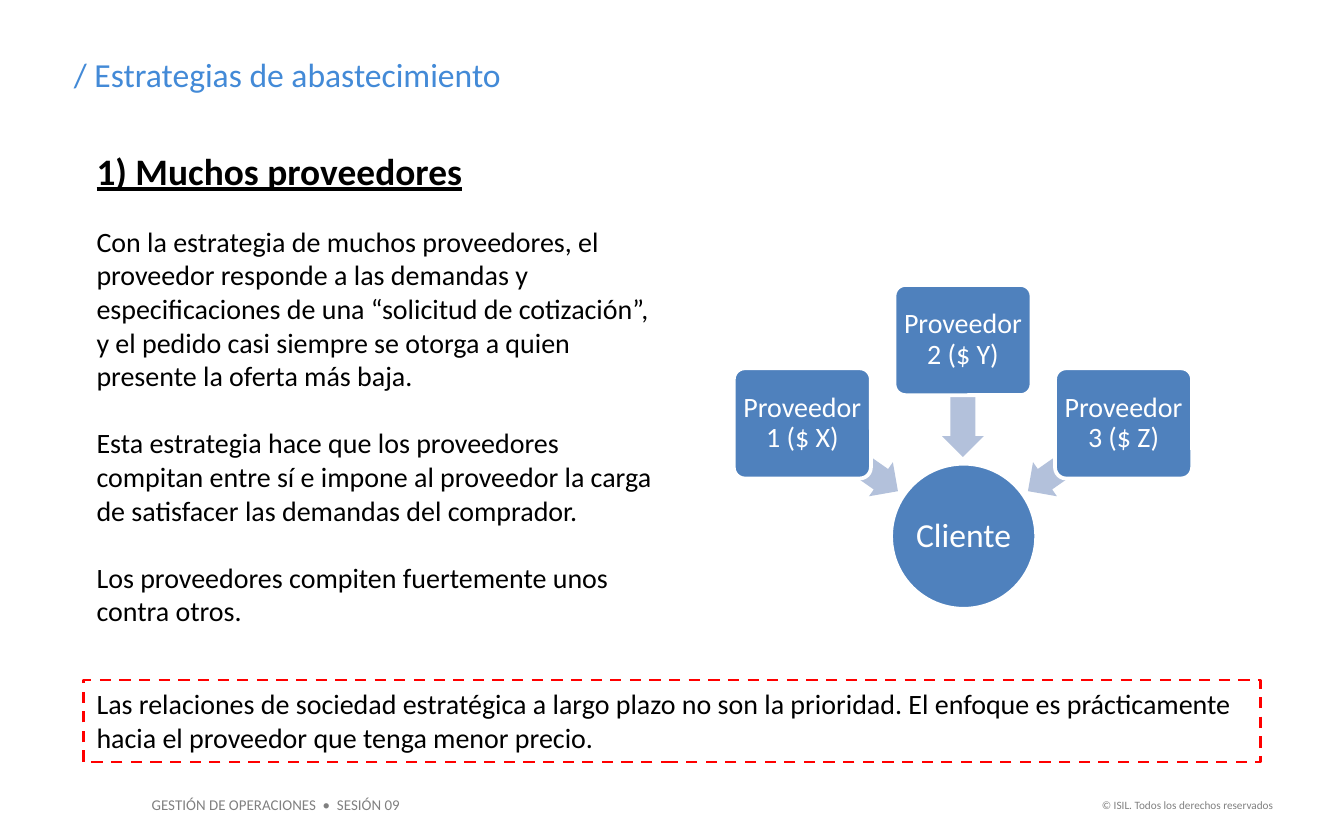
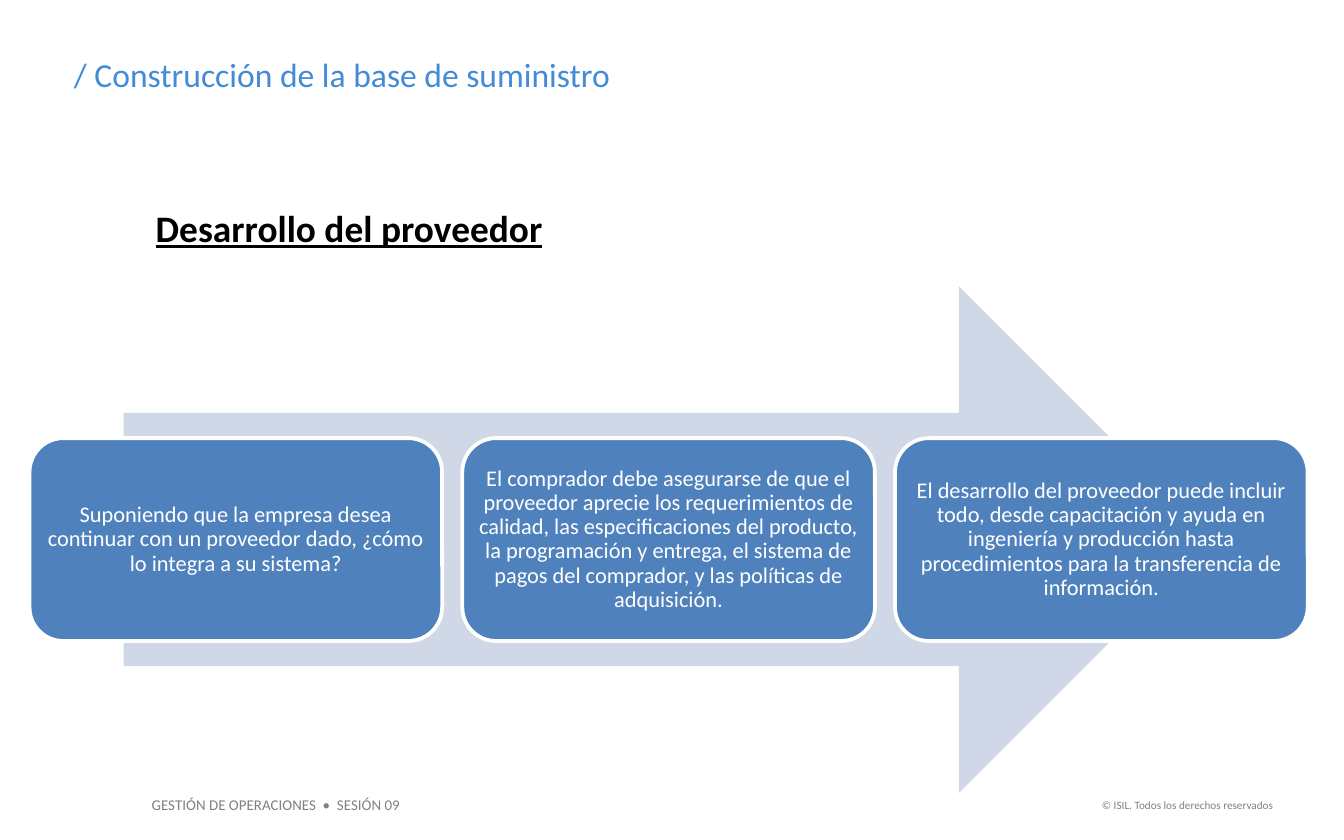
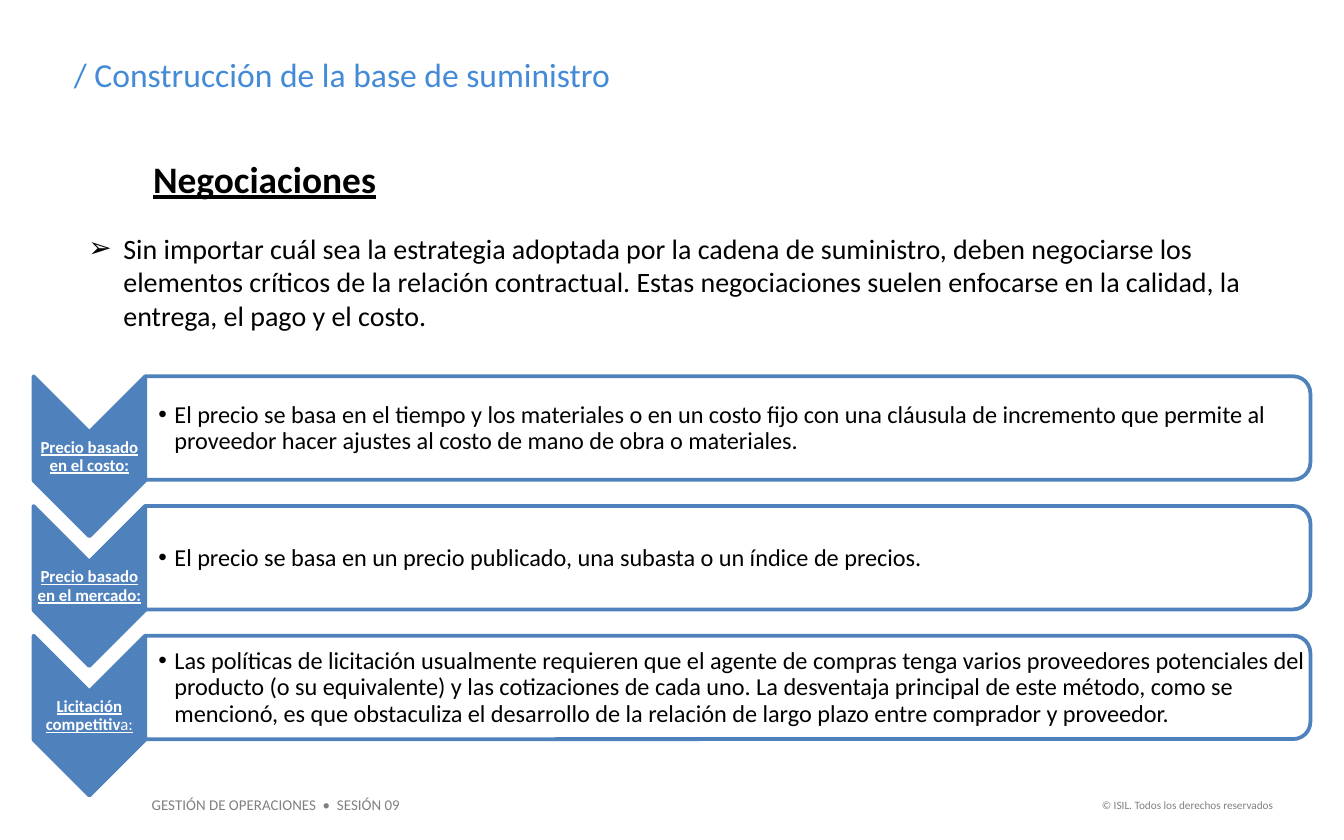
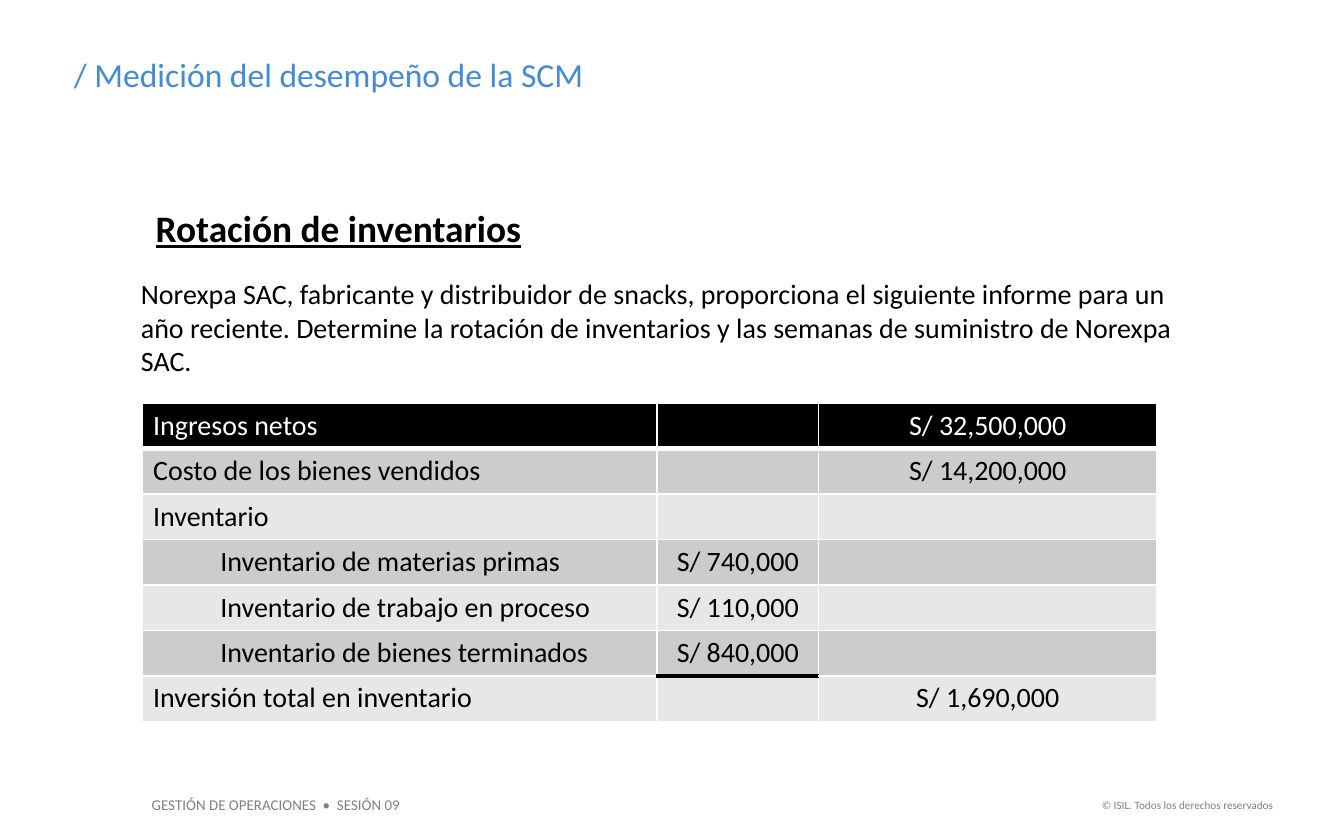
"""Build four slides on supply strategy and inventory turnover."""
from lxml import etree
from pptx import Presentation
from pptx import util as u
from pptx.dml.color import RGBColor
from pptx.enum import dml, shapes, text
from pptx.oxml.ns import qn

HUES = {
    "title": "438AD7", "ink": "000000", "white": "FFFFFF", "foot": "808080",
    "blue": "4F81BD", "arrow": "B3C1DB", "band": "D0D8E8", "alert": "FF0000",
    "dark": "CCCCCC", "light": "E7E7E7",
}
FACE = "Calibri"
KIND = shapes.MSO_SHAPE
LEFT, MID, RIGHT = text.PP_ALIGN.LEFT, text.PP_ALIGN.CENTER, text.PP_ALIGN.RIGHT
FOOTS = [
    ("GESTIÓN DE OPERACIONES  •  SESIÓN 09", (1.03, 5.87, 2.05, 0.24), 8, LEFT),
    ("© ISIL. Todos los derechos reservados", (8.03, 5.89, 1.54, 0.2), 6, RIGHT),
]
BODY = [
    "Con la estrategia de muchos proveedores, el proveedor responde a las demandas y "
    "especificaciones de una “solicitud de cotización”, y el pedido casi siempre se "
    "otorga a quien presente la oferta más baja.",
    "Esta estrategia hace que los proveedores compitan entre sí e impone al proveedor "
    "la carga de satisfacer las demandas del comprador.",
    "Los proveedores compiten fuertemente unos contra otros.",
]
NOTE = (
    "Las relaciones de sociedad estratégica a largo plazo no son la prioridad. "
    "El enfoque es prácticamente hacia el proveedor que tenga menor precio."
)
STEPS = [
    "Suponiendo que la empresa desea continuar con un proveedor dado, ¿cómo lo integra "
    "a su sistema?",
    "El comprador debe asegurarse de que el proveedor aprecie los requerimientos de "
    "calidad, las especificaciones del producto, la programación y entrega, el sistema "
    "de pagos del comprador, y las políticas de adquisición.",
    "El desarrollo del proveedor puede incluir todo, desde capacitación y ayuda en "
    "ingeniería y producción hasta procedimientos para la transferencia de información.",
]
TALKS = (
    "Sin importar cuál sea la estrategia adoptada por la cadena de suministro, deben "
    "negociarse los elementos críticos de la relación contractual. Estas negociaciones "
    "suelen enfocarse en la calidad, la entrega, el pago y el costo."
)
PRICES = [
    ("Precio basado en el costo:", "",
     "El precio se basa en el tiempo y los materiales o en un costo fijo con una "
     "cláusula de incremento que permite al proveedor hacer ajustes al costo de mano "
     "de obra o materiales."),
    ("Precio basado en el mercado:", "",
     "El precio se basa en un precio publicado, una subasta o un índice de precios."),
    ("Licitación competitiv", "a:",
     "Las políticas de licitación usualmente requieren que el agente de compras tenga "
     "varios proveedores potenciales del producto (o su equivalente) y las cotizaciones "
     "de cada uno. La desventaja principal de este método, como se mencionó, es que "
     "obstaculiza el desarrollo de la relación de largo plazo entre comprador y "
     "proveedor."),
]
CASE = (
    "Norexpa SAC, fabricante y distribuidor de snacks, proporciona el siguiente informe "
    "para un año reciente. Determine la rotación de inventarios y las semanas de "
    "suministro de Norexpa SAC."
)
COSTS = [
    ("Ingresos netos", "", "S/ 32,500,000"),
    ("Costo de los bienes vendidos", "", "S/ 14,200,000"),
    ("Inventario", "", ""),
    ("Inventario de materias primas", "S/ 740,000", ""),
    ("Inventario de trabajo en proceso", "S/ 110,000", ""),
    ("Inventario de bienes terminados", "S/ 840,000", ""),
    ("Inversión total en inventario", "", "S/ 1,690,000"),
]


def hue(name):
    """Return a named colour."""
    return RGBColor.from_string(HUES[name])


def place(box):
    """Turn left, top, width and height into lengths."""
    return [u.Inches(v) for v in box]


def style(para, size, ink="ink", align=LEFT, bold=False):
    """Set the look of a paragraph; bold text is underlined too."""
    para.alignment = align
    font = para.font
    font.name, font.size = FACE, u.Pt(size)
    font.color.rgb = hue(ink)
    font.bold = font.underline = bold


def indent(para, left, first=0, mark=None):
    """Indent a paragraph and give it a bullet."""
    props = para._p.get_or_add_pPr()
    props.set("marL", str(u.Inches(left)))
    props.set("indent", str(u.Inches(first)))
    if mark:
        etree.SubElement(props, qn("a:buFont"), typeface="Arial")
        etree.SubElement(props, qn("a:buChar"), char=mark)


def write(shape, lines, size, ink="ink", align=LEFT, bold=False, pad=None,
          gap=0, mark=None, hang=0):
    """Fill a shape with text; a pad makes it tight and centred in height."""
    frame = shape.text_frame
    frame.word_wrap = True
    if pad is None:
        frame.vertical_anchor = text.MSO_ANCHOR.TOP
        frame.auto_size = text.MSO_AUTO_SIZE.SHAPE_TO_FIT_TEXT
    else:
        frame.vertical_anchor = text.MSO_ANCHOR.MIDDLE
        (frame.margin_left, frame.margin_top,
         frame.margin_right, frame.margin_bottom) = place(pad)
    for i, line in enumerate(lines):
        para = frame.paragraphs[0] if i == 0 else frame.add_paragraph()
        para.text = line
        if mark:
            indent(para, hang, -hang, mark)
        if i:
            para.space_before = u.Pt(gap)
        if pad is not None:
            para.line_spacing = 0.9
        style(para, size, ink, align, bold)
    return frame


def label(slide, box, lines, size, **look):
    """Add a text box."""
    return write(slide.shapes.add_textbox(*place(box)), lines, size, **look)


def draw(slide, kind, box, fill=None, line=None, width=2, turn=0, adj=()):
    """Add a preset shape."""
    shape = slide.shapes.add_shape(kind, *place(box))
    shape.shadow.inherit = False
    shape.rotation = turn
    for i, value in enumerate(adj):
        shape.adjustments[i] = value
    if fill:
        shape.fill.solid()
        shape.fill.fore_color.rgb = hue(fill)
    else:
        shape.fill.background()
    if line:
        shape.line.color.rgb = hue(line)
        shape.line.width = u.Pt(width)
    else:
        shape.line.fill.background()
    return shape


def node(slide, kind, box, words, size, pad, adj=()):
    """Add a blue shape with centred white text."""
    shape = draw(slide, kind, box, "blue", "white", adj=adj)
    write(shape, [words], size, ink="white", align=MID, pad=[pad] * 4)


def start(deck, title, head, box):
    """Add a slide with its title, heading and footers."""
    slide = deck.slides.add_slide(deck.slide_layouts[5])
    name = slide.shapes.title
    name.left, name.top, name.width, name.height = place((0.45, 0.35, 7.88, 0.4))
    write(name, ["/ " + title], 18, ink="title")
    for words, spot, size, align in FOOTS:
        label(slide, spot, [words], size, ink="foot", align=align)
    label(slide, box, [head], 20, bold=True)
    return slide


def many(deck):
    """Build the slide on many suppliers."""
    slide = start(deck, "Estrategias de abastecimiento", "1) Muchos proveedores",
                  (0.62, 1.05, 3.87, 0.44))
    label(slide, (0.62, 1.62, 4.4, 3.13), BODY, 15, gap=18)
    frame = draw(slide, KIND.RECTANGLE, (0.62, 5.06, 8.76, 0.61), line="alert", width=1.5)
    frame.line.dash_style = dml.MSO_LINE.DASH
    write(frame, [NOTE], 15)
    node(slide, KIND.OVAL, (6.63, 3.45, 1.08, 1.08), "Cliente", 18, 0.01)
    spots = [(5.89, 3.25, 215, 2.74), (6.73, 2.81, 270, 2.12), (7.57, 3.25, 325, 2.74)]
    for i, (left, top, turn, rise) in enumerate(spots):
        draw(slide, KIND.LEFT_ARROW, (left, top, 0.87, 0.31), "arrow",
             turn=turn, adj=(0.6, 0.5))
        node(slide, KIND.ROUNDED_RECTANGLE, (5.46 + 1.195 * i, rise, 1.02, 0.82),
             f"Proveedor {i + 1} ($ {'XYZ'[i]})", 15, 0.03, adj=(0.1,))


def growth(deck):
    """Build the slide on supplier development."""
    slide = start(deck, "Construcción de la base de suministro",
                  "Desarrollo del proveedor", (1.06, 1.48, 6.69, 0.44))
    draw(slide, KIND.RIGHT_ARROW, (0.92, 2.13, 8.1, 3.77), "band")
    for i, step in enumerate(STEPS):
        node(slide, KIND.ROUNDED_RECTANGLE, (0.22 + 3.22 * i, 3.26, 3.07, 1.51),
             step, 12, 0.05)


def price(slide, top, name, tail, words):
    """Add a chevron with its label and the bar that explains it."""
    draw(slide, KIND.CHEVRON, (0.07, top + 0.18, 1.19, 0.83), "blue", "blue", turn=90)
    frame = label(slide, (0.25, top + 0.42, 0.83, 0.36), [name], 9, ink="white",
                  align=MID, bold=True, pad=[0.01] * 4)
    if tail:
        run = frame.paragraphs[0].add_run()
        run.text = tail
        run.font.bold = False
    bar = draw(slide, KIND.ROUND_2_SAME_RECTANGLE, (5.03, top - 3.95, 0.77, 8.67),
               "white", "blue", turn=90)
    tint = bar.fill._xPr.find(qn("a:solidFill"))[0]
    etree.SubElement(tint, qn("a:alpha"), val="90000")
    label(slide, (1.08, top + 0.04, 8.63, 0.7), [words], 13,
          pad=(0.1, 0.01, 0.01, 0.01), mark="•", hang=0.12)


def talks(deck):
    """Build the slide on negotiations."""
    slide = start(deck, "Construcción de la base de suministro",
                  "Negociaciones", (1.04, 1.11, 6.69, 0.44))
    label(slide, (0.56, 1.67, 8.88, 0.86), [TALKS], 15, mark="➢", hang=0.26)
    for i, row in enumerate(PRICES):
        price(slide, 2.8 + 0.965 * i, *row)


def rule(row, col):
    """Give the colour and width of the line under a cell."""
    if row == 0:
        return "white", 3
    return ("ink", 2.25) if (row, col) == (5, 1) else ("white", 1)


def edge(cell, side, ink, width):
    """Draw one border of a cell."""
    line = etree.SubElement(cell._tc.get_or_add_tcPr(), qn("a:ln" + side),
                            w=str(u.Pt(width)))
    fill = etree.SubElement(line, qn("a:solidFill"))
    etree.SubElement(fill, qn("a:srgbClr"), val=HUES[ink])


def fill_cell(cell, row, col, words):
    """Set the text, borders and fill of a cell."""
    cell.margin_left = cell.margin_right = u.Inches(0.08)
    cell.margin_top = cell.margin_bottom = u.Inches(0.04)
    para = cell.text_frame.paragraphs[0]
    if words:
        para.text = words
    if col == 0 and row in (3, 4, 5):
        indent(para, 0.5)
    style(para, 15, "ink" if row else "white", MID if col else LEFT)
    if not words:
        etree.SubElement(para._p, qn("a:endParaRPr"), sz="1500")
    edge(cell, "L", "white", 1)
    edge(cell, "R", "white", 1)
    edge(cell, "T", *rule(row - 1, col))
    edge(cell, "B", *rule(row, col))
    cell.fill.solid()
    cell.fill.fore_color.rgb = hue(("dark" if row % 2 else "light") if row else "ink")


def stock(deck):
    """Build the slide on inventory turnover."""
    slide = start(deck, "Medición del desempeño de la SCM",
                  "Rotación de inventarios", (1.06, 1.48, 6.69, 0.44))
    label(slide, (0.95, 2.01, 8.12, 0.86), [CASE], 15)
    grid = slide.shapes.add_table(len(COSTS), 3, *place((1.06, 3, 7.55, 2.37))).table
    grid.first_row = grid.horz_banding = False
    for col, wide in zip(grid.columns, (3.83, 1.2, 2.52)):
        col.width = u.Inches(wide)
    for r, line in enumerate(COSTS):
        for c, words in enumerate(line):
            fill_cell(grid.cell(r, c), r, c, words)


def main():
    """Build and save the deck."""
    deck = Presentation()
    deck.slide_width, deck.slide_height = u.Inches(10), u.Inches(6.25)
    for build in (many, growth, talks, stock):
        build(deck)
    deck.save("out.pptx")


if __name__ == "__main__":
    main()
